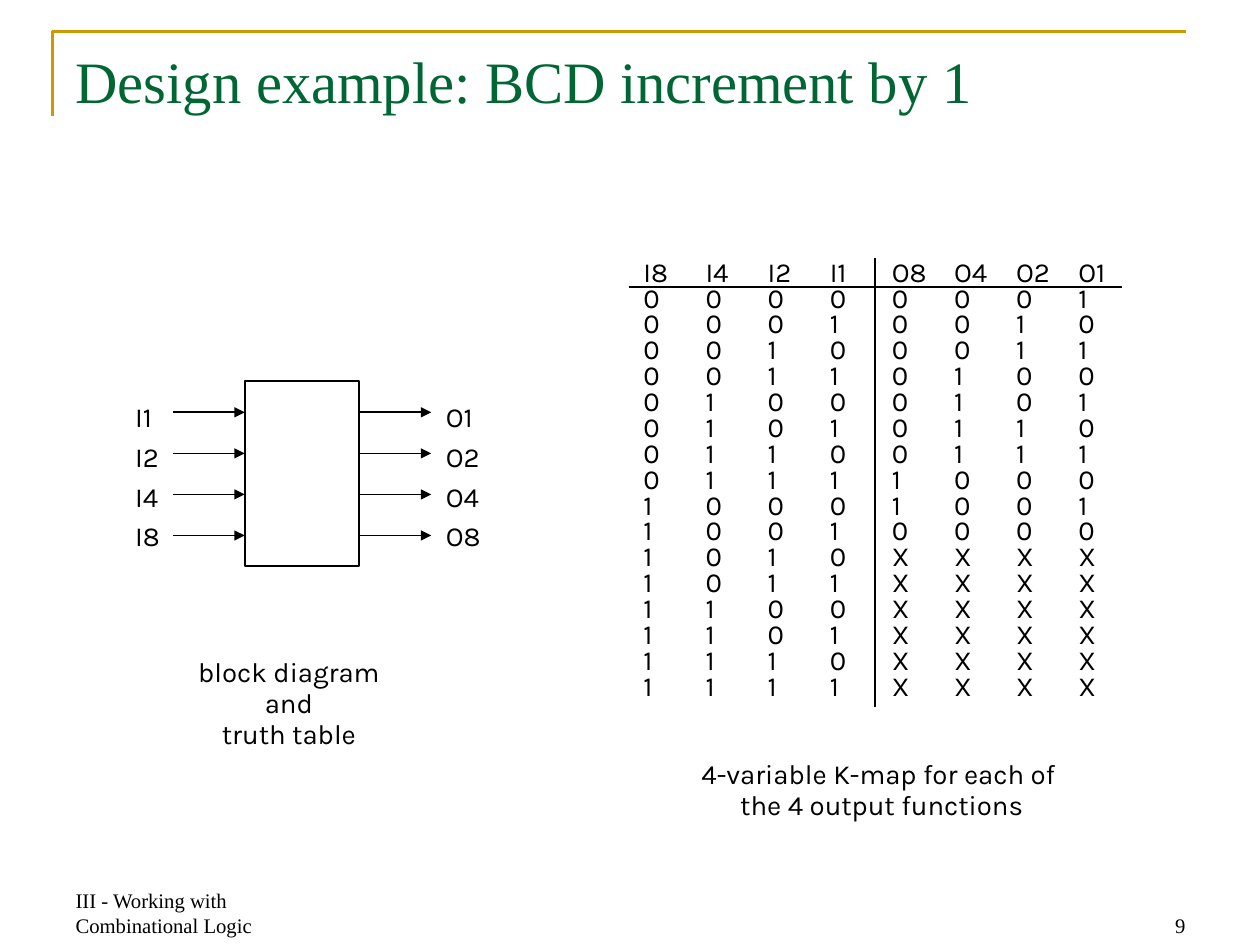
from dataclasses import dataclass

from lxml import etree
from pptx import Presentation
from pptx.dml.color import RGBColor
from pptx.enum.shapes import MSO_CONNECTOR, MSO_SHAPE
from pptx.enum.text import MSO_ANCHOR, PP_ALIGN
from pptx.oxml.ns import qn
from pptx.util import Pt

STRAIGHT = MSO_CONNECTOR.STRAIGHT
RECTANGLE = MSO_SHAPE.RECTANGLE
TOP, BOTTOM = MSO_ANCHOR.TOP, MSO_ANCHOR.BOTTOM
LEFT, CENTER, RIGHT = PP_ALIGN.LEFT, PP_ALIGN.CENTER, PP_ALIGN.RIGHT


@dataclass(frozen=True)
class Theme:
    ink: RGBColor = RGBColor(0, 0, 0)
    title_color: RGBColor = RGBColor(0x00, 0x66, 0x33)
    accent: RGBColor = RGBColor(0xCC, 0x99, 0x00)
    serif: str = "Times New Roman"
    sans: str = "Karla"
    title_size: float = 34
    body_size: float = 16
    footer_size: float = 12
    line_width: float = 1
    frame_width: float = 1.5


class SlideBuilder:
    def __init__(self, slide, theme):
        self.slide = slide
        self.theme = theme
        self.body = {"name": theme.sans, "size": Pt(theme.body_size)}
        self.footer = {"name": theme.serif, "size": Pt(theme.footer_size)}
        self.title = {"name": theme.serif, "size": Pt(theme.title_size)}

    def text(self, box, lines, font, color=None, margins=(2, 2), anchor=TOP,
             align=LEFT, spacing=1.0, tabs=()):
        shape = self.slide.shapes.add_textbox(*map(Pt, box))
        frame = shape.text_frame
        horizontal, vertical = map(Pt, margins)
        frame_format = {
            "word_wrap": True,
            "vertical_anchor": anchor,
            "margin_left": horizontal,
            "margin_right": horizontal,
            "margin_top": vertical,
            "margin_bottom": vertical,
        }
        for name, value in frame_format.items():
            setattr(frame, name, value)
        for index, line in enumerate(lines):
            paragraph = frame.add_paragraph() if index else frame.paragraphs[0]
            paragraph.text = line
            if tabs:
                self.add_tabs(paragraph, tabs)
            paragraph.alignment = align
            paragraph.line_spacing = spacing
            for run in paragraph.runs:
                for name, value in font.items():
                    setattr(run.font, name, value)
                run.font.color.rgb = color or self.theme.ink

    def add_tabs(self, paragraph, tabs):
        properties = paragraph._p.get_or_add_pPr()
        tab_list = etree.SubElement(properties, qn("a:tabLst"))
        for position in tabs:
            etree.SubElement(tab_list, qn("a:tab"), pos=str(Pt(position)), algn="l")

    def outline(self, shape, color, width):
        shape.line.color.rgb = color
        shape.line.width = Pt(width)

    def line(self, start, end, arrow=False):
        connector = self.slide.shapes.add_connector(STRAIGHT, *map(Pt, start + end))
        self.outline(connector, self.theme.ink, self.theme.line_width)
        if arrow:
            line_element = connector.line._get_or_add_ln()
            etree.SubElement(line_element, qn("a:tailEnd"), type="triangle")
        etree.SubElement(connector._element.spPr, qn("a:effectLst"))

    def block(self, box):
        shape = self.slide.shapes.add_shape(RECTANGLE, *map(Pt, box))
        shape.shadow.inherit = False
        shape.fill.background()
        self.outline(shape, self.theme.ink, self.theme.line_width)

    def corner(self, points):
        first, *others = [(Pt(x), Pt(y)) for x, y in points]
        freeform = self.slide.shapes.build_freeform(*first)
        freeform.add_line_segments(others, close=False)
        shape = freeform.convert_to_shape()
        shape.shadow.inherit = False
        shape.fill.background()
        self.outline(shape, self.theme.accent, self.theme.frame_width)


def truth_rows():
    rows = ["\t".join(["I8", "I4", "I2", "I1", "O8", "O4", "O2", "O1"])]
    for value in range(16):
        result = f"{(value + 1) % 10:04b}" if value < 10 else "XXXX"
        rows.append("\t".join(f"{value:04b}{result}"))
    return rows


def add_page_frame(builder):
    footer = {"font": builder.footer, "margins": (7.2, 3.6), "anchor": BOTTOM}
    builder.corner([(30.5, 67), (30.5, 18.2), (687.4, 18.2)])
    builder.text((36.7, 22.3, 656.6, 90.7), ["Design example: BCD increment by 1"],
                 builder.title, builder.theme.title_color, (7.2, 3.6))
    builder.text((36.7, 510.5, 170.6, 36.7),
                 ["III - Working with Combinational Logic"], **footer)
    builder.text((523.4, 510.5, 170.6, 36.7), ["9"], align=RIGHT, **footer)


def add_block_diagram(builder):
    block_left, block_right, arrow_length = 141.8, 208.1, 41.8
    builder.block((block_left, 221, block_right - block_left, 107.3))
    for prefix, left in (("I", 76.3), ("O", 256.3)):
        labels = [f"{prefix}{weight}" for weight in (1, 2, 4, 8)]
        builder.text((left, 226.1, 30, 95.8), labels, builder.body, spacing=1.2)
    for index in range(4):
        y = 239 + 23.8 * index
        for start in (block_left - arrow_length, block_right):
            builder.line((start, y), (start + arrow_length, y), arrow=True)
    builder.text((97.9, 378.7, 139, 64.1), ["block diagram", "and", "truth table"],
                 builder.body, align=CENTER, spacing=Pt(18))


def add_truth_table(builder):
    builder.line((364.3, 166.3), (650.2, 166.3))
    builder.line((506.9, 149.8), (506.9, 409.7))
    builder.text((370.8, 149.8, 296.6, 265), truth_rows(), builder.body,
                 spacing=Pt(15), tabs=[36 * column for column in range(1, 8)])
    builder.text((383.8, 437.8, 254.2, 46.1),
                 ["4-variable K-map for each of \vthe 4 output functions"],
                 builder.body, align=CENTER, spacing=Pt(18))


def main():
    presentation = Presentation()
    presentation.slide_width = Pt(730.08)
    presentation.slide_height = Pt(547.2)
    slide = presentation.slides.add_slide(presentation.slide_layouts[6])
    builder = SlideBuilder(slide, Theme())
    add_page_frame(builder)
    add_block_diagram(builder)
    add_truth_table(builder)
    presentation.save("out.pptx")


if __name__ == "__main__":
    main()
